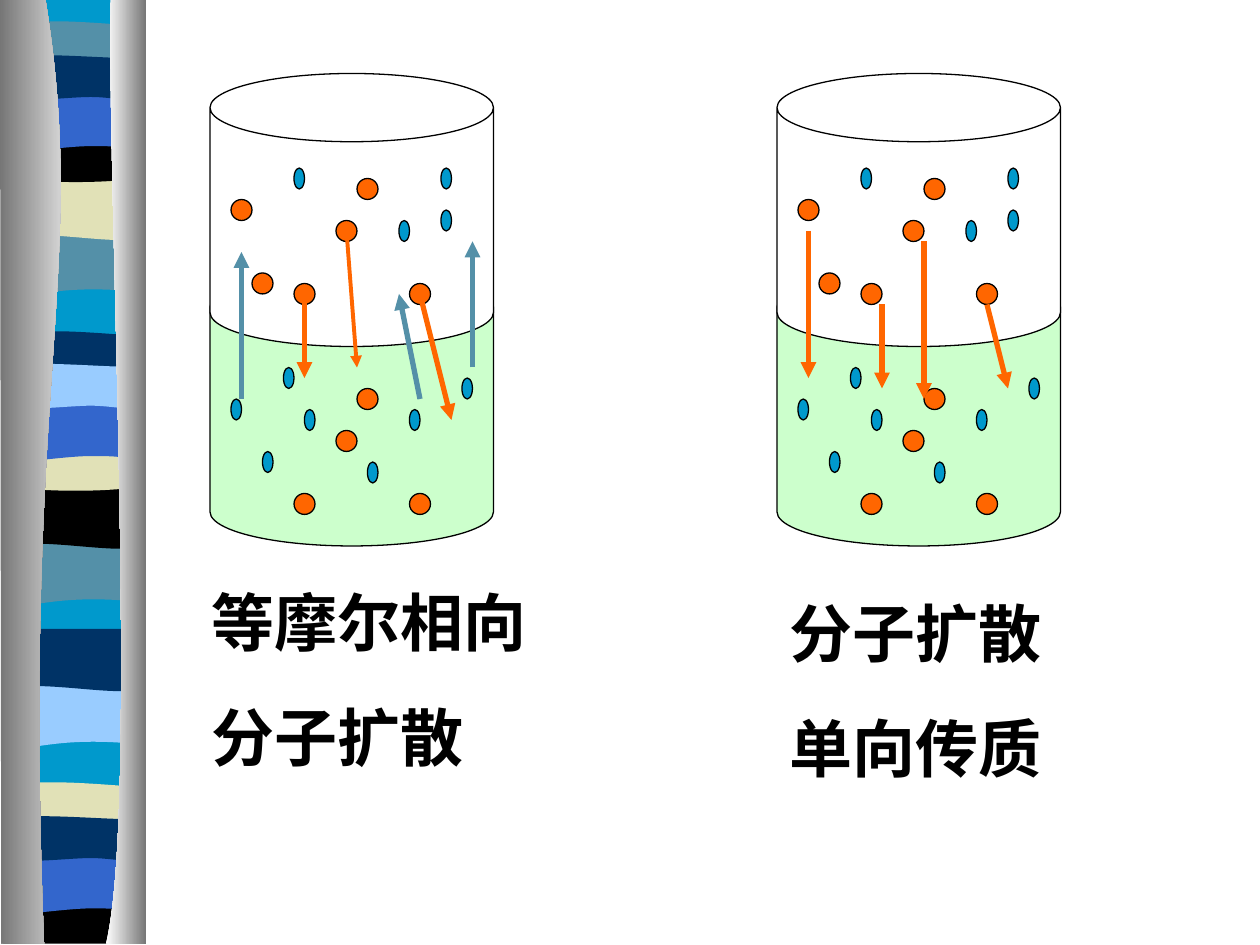
from dataclasses import dataclass

import pptx
import pptx.dml.color
import pptx.enum.shapes
import pptx.oxml.ns
import pptx.util
from lxml import etree

SHAPE = pptx.enum.shapes.MSO_SHAPE
qn = pptx.oxml.ns.qn
FONT = "Noto Sans CJK SC"
ORANGE, BLUE, TEAL, BLACK = "FF6600", "0099CC", "5490A8", "000000"
NAVY, ROYAL, SAND, SKY = "003366", "3366CC", "E1E1B7", "99CCFF"
GREY, WHITE = "767676", "FFFFFF"
CELL = 1 / 12  # grid step in inches; diagrams are given in columns and rows
BAND_LEFT = 0.06


@dataclass
class Band:
    profile: str
    y: float
    color: str


@dataclass
class Arrow:
    start: tuple[int, int]
    end: tuple[int, int]
    color: str = ORANGE
    width: float = 3


@dataclass
class Panel:
    col: int
    arrows: list[Arrow]
    text_col: int
    text_row: int
    lines: list[str]


# Band outlines: a pair is a line, six numbers are a cubic curve
PROFILES = {
    "dip": [(1.08, 0), (1.08, 0.47), (0.33, 0.39, 0.18, 0.55, 0, 0.47), (0, 0)],
    "swell": [(1.08, 0), (1.08, 0.47), (0.9, 0.55, 0.33, 0.41, 0, 0.47), (0, 0)],
    "lens": [(1.08, 0), (1.08, 0.24), (0.9, 0.28, 0.18, 0.28, 0, 0.24), (0, 0),
             (0.06, -0.05, 0.23, -0.04, 0.41, -0.04),
             (0.59, -0.04, 0.94, -0.01, 1.08, 0)],
    "bowl": [(1.08, 0), (1.08, 0.32), (0.9, 0.38, 0.18, 0.38, 0, 0.32), (0, 0),
             (0.66, 0.05, 0.85, 0, 1.08, 0)],
    "floor": [(1.08, 0), (1.08, 0.37), (0, 0.37), (0, 0),
              (0.66, 0.05, 0.85, 0, 1.08, 0)],
    "arch": [(1.08, 0), (1.08, 0.47), (0.91, 0.42, 0.84, 0.42, 0.66, 0.42),
             (0.48, 0.42, 0.16, 0.47, 0, 0.47), (0, 0)],
    "ripple": [(1.08, 0), (1.08, 0.31), (1.01, 0.36, 0.84, 0.31, 0.66, 0.31),
               (0.48, 0.31, 0.11, 0.36, 0, 0.31), (0, 0),
               (0.15, -0.05, 0.73, 0, 0.91, 0), (1.09, 0, 1.04, 0, 1.08, 0)],
}

BANDS = [
    Band("dip", 1.85, TEAL), Band("swell", 1.41, SAND), Band("lens", 0.21, TEAL),
    Band("bowl", 1.08, BLACK), Band("arch", 0.74, ROYAL), Band("ripple", 0.46, NAVY),
    Band("dip", 4.31, TEAL), Band("swell", 3.86, BLACK), Band("lens", 2.67, NAVY),
    Band("bowl", 3.53, SAND), Band("arch", 3.2, ROYAL), Band("ripple", 2.91, SKY),
    Band("dip", 5.44, SKY), Band("swell", 4.99, NAVY), Band("lens", 6.25, SAND),
    Band("floor", 7.12, BLACK), Band("arch", 6.79, ROYAL), Band("ripple", 6.5, NAVY),
]

# Molecules, as column and row inside a beaker
ORANGE_DOTS = [(14, 10), (19, 20), (12, 14), (8, 20), (14, 30),
               (19, 40), (12, 34), (8, 40), (2, 12), (4, 19)]
BLUE_DOTS = [(8, 9), (7, 28), (15, 37), (5, 36), (19, 32), (24, 29),
             (2, 31), (9, 32), (22, 9), (18, 14), (22, 13)]
BEAKER_ROW = 7

PANELS = [
    Panel(20, [Arrow((9, 21), (9, 29)), Arrow((13, 15), (14, 28), width=2.25),
               Arrow((20, 21), (23, 33)), Arrow((3, 31), (3, 17), TEAL),
               Arrow((20, 31), (18, 21), TEAL), Arrow((25, 28), (25, 16), TEAL)],
          19, 55, ["等摩尔相向", "分子扩散"]),
    Panel(74, [Arrow((3, 15), (3, 29)), Arrow((10, 22), (10, 30)),
               Arrow((20, 22), (22, 30)), Arrow((14, 16), (14, 31))],
          74, 56, ["分子扩散", "单向传质"]),
]


def rgb(color: str) -> pptx.dml.color.RGBColor:
    return pptx.dml.color.RGBColor.from_string(color)


def cells(n: float) -> int:
    return pptx.util.Inches(n * CELL)


def add_outline(shapes, outline: list[tuple], colors: list[str],
                left: float = 0, top: float = 0):
    """Draw a borderless outline, filled plain or with a left-to-right gradient."""
    points = [(pptx.util.Inches(left + seg[i]), pptx.util.Inches(top + seg[i + 1]))
              for seg in outline for i in range(0, len(seg), 2)]
    builder = shapes.build_freeform(*points[0])
    builder.add_line_segments(points[1:], close=True)
    sp = builder.convert_to_shape()

    # Fold the three points of each curve into one Bézier segment
    steps = iter(list(sp._element.iter(qn("a:lnTo"))))
    for seg in outline[1:]:
        first = next(steps)
        if len(seg) == 6:
            first.tag = qn("a:cubicBezTo")
            for extra in (next(steps), next(steps)):
                first.append(extra[0])
                extra.getparent().remove(extra)

    sp.shadow.inherit = False
    sp.line.fill.background()
    if len(colors) == 1:
        sp.fill.solid()
        sp.fill.fore_color.rgb = rgb(colors[0])
        return
    sp.fill.gradient()
    sp.fill.gradient_angle = 0
    for stop, color in zip(sp.fill.gradient_stops, colors):
        stop.color.rgb = rgb(color)


def add_solid(shapes, kind, col: int, row: int, cols: int, rows: int, color: str):
    sp = shapes.add_shape(kind, cells(col), cells(row), cells(cols), cells(rows))
    sp.shadow.inherit = False
    sp.fill.solid()
    sp.fill.fore_color.rgb = rgb(color)
    sp.line.color.rgb = rgb(BLACK)
    sp.line.width = pptx.util.Pt(0.75)


def add_arrow(shapes, arrow: Arrow, col: int, row: int):
    (x1, y1), (x2, y2) = arrow.start, arrow.end
    line = shapes.add_connector(pptx.enum.shapes.MSO_CONNECTOR.STRAIGHT,
                                cells(col + x1), cells(row + y1),
                                cells(col + x2), cells(row + y2))
    line.line.color.rgb = rgb(arrow.color)
    line.line.width = pptx.util.Pt(arrow.width)
    props = line._element.spPr
    etree.SubElement(props.find(qn("a:ln")), qn("a:tailEnd"), type="triangle")
    etree.SubElement(props, qn("a:effectLst"))


def add_caption(shapes, panel: Panel):
    tf = shapes.add_textbox(cells(panel.text_col), cells(panel.text_row),
                            cells(34), cells(19.5)).text_frame
    tf.word_wrap = True
    tf.text = "\n".join(panel.lines)
    for i, p in enumerate(tf.paragraphs):
        p.space_before = pptx.util.Pt(22.5 if i else 0)
        p.font.name = FONT
        p.font.size = pptx.util.Pt(36)
        p.font.bold = True
        p.font.color.rgb = rgb(BLACK)
        etree.SubElement(p._p.pPr.find(qn("a:defRPr")), qn("a:ea"), typeface=FONT)


def add_panel(shapes, panel: Panel):
    col, row = panel.col, BEAKER_ROW
    beaker = shapes.add_group_shape().shapes
    # Liquid below, gas above
    add_solid(beaker, SHAPE.CAN, col, row + 19, 27, 26, "CCFFCC")
    add_solid(beaker, SHAPE.CAN, col, row, 27, 26, WHITE)
    for dots, cols, color in ((ORANGE_DOTS, 2, ORANGE), (BLUE_DOTS, 1, BLUE)):
        for x, y in dots:
            add_solid(beaker, SHAPE.OVAL, col + x, row + y, cols, 2, color)
    for arrow in panel.arrows:
        add_arrow(shapes, arrow, col, row)
    add_caption(shapes, panel)


def main():
    prs = pptx.Presentation()
    prs.slide_width, prs.slide_height = pptx.util.Inches(10), pptx.util.Inches(7.5)
    shapes = prs.slides.add_slide(prs.slide_layouts[6]).shapes

    # Striped ribbon between two metallic columns
    ribbon = shapes.add_group_shape().shapes
    add_outline(ribbon, [(1.08, -0.01), (1.08, 7.47), (0, 7.47), (0, -0.01)],
                [BLUE], BAND_LEFT)
    for band in BANDS:
        add_outline(ribbon, PROFILES[band.profile], [band.color], BAND_LEFT, band.y)
    add_outline(ribbon, [(0.36, -0.01), (0.71, 2.16, 0.17, 2.96, 0.35, 7.49),
                         (0.01, 7.49), (0, -0.01)], [GREY, WHITE])
    add_outline(ribbon, [(0.88, -0.01), (0.84, 1.25, 1.11, 6.46, 0.84, 7.49),
                         (1.16, 7.49), (1.16, 0)], [WHITE, GREY])

    for panel in PANELS:
        add_panel(shapes, panel)
    prs.save("out.pptx")


if __name__ == "__main__":
    main()
